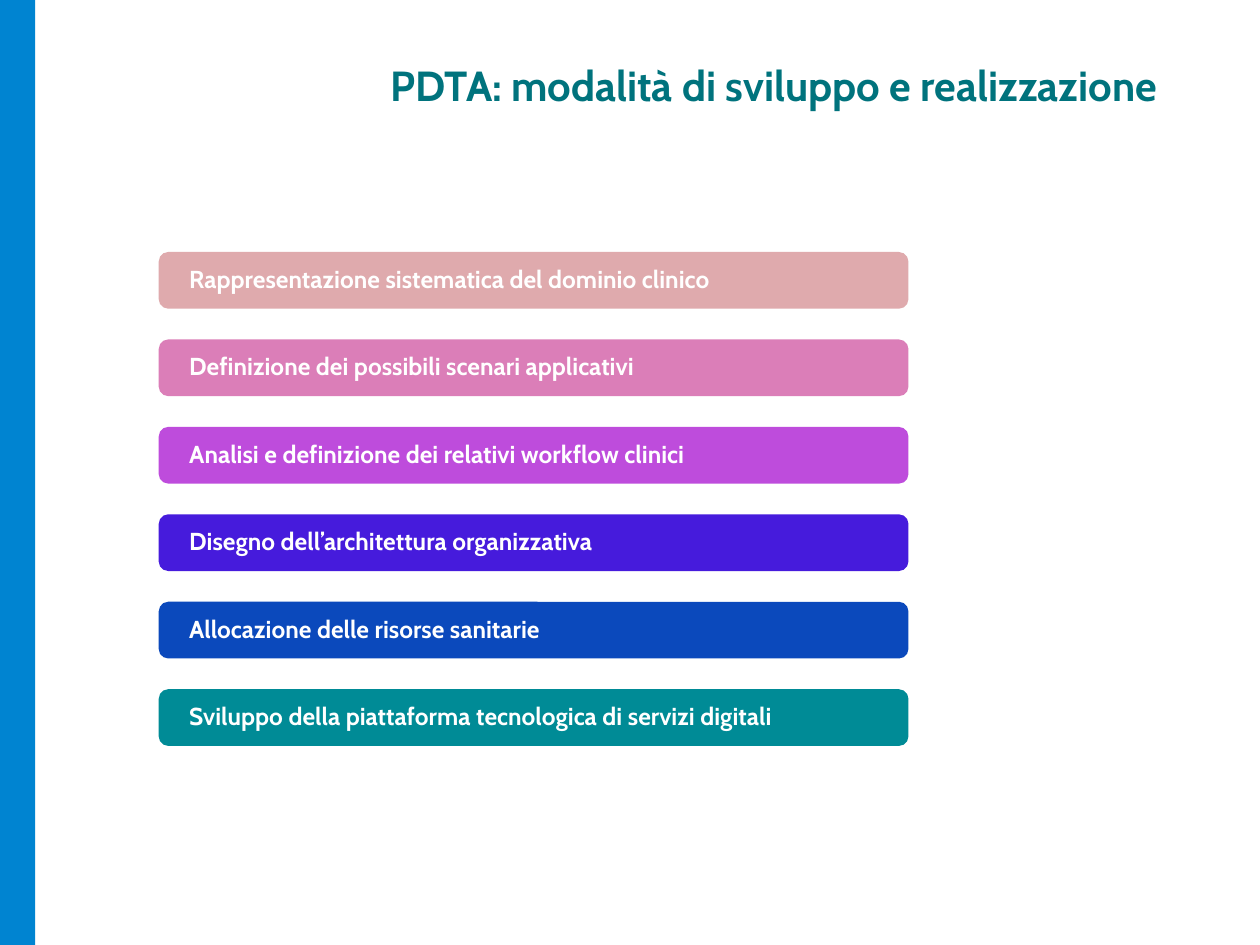
import pptx
import pptx.util
import pptx.dml.color
import pptx.enum.shapes
import pptx.enum.text

RGB = pptx.dml.color.RGBColor
KIND = pptx.enum.shapes.MSO_SHAPE
BLUE = RGB(0x00, 0x84, 0xD1)
TEAL = RGB(0x00, 0x73, 0x7D)
WHITE = RGB(0xFF, 0xFF, 0xFF)
STEPS = [
    ("Rappresentazione sistematica del dominio clinico", RGB(0xDF, 0xAA, 0xAD)),
    ("Definizione dei possibili scenari applicativi", RGB(0xDB, 0x7E, 0xB8)),
    ("Analisi e definizione dei relativi workflow clinici", RGB(0xBE, 0x4C, 0xDC)),
    ("Disegno dell’architettura organizzativa", RGB(0x46, 0x1B, 0xDC)),
    ("Allocazione delle risorse sanitarie", RGB(0x0B, 0x49, 0xBC)),
    ("Sviluppo della piattaforma tecnologica di servizi digitali", RGB(0x00, 0x8B, 0x96)),
]


class Deck:
    """Draws styled elements on a grid of 100 columns by 75 rows."""

    face = "Cabin"
    cell = pptx.util.Inches(0.1)

    def __init__(self):
        self.file = pptx.Presentation()
        self.file.slide_width = 100 * self.cell
        self.file.slide_height = 75 * self.cell
        self.slide = self.file.slides.add_slide(self.file.slide_layouts[6])

    def area(self, *units):
        return [round(unit * self.cell) for unit in units]

    def label(self, frame, text, size, color):
        frame.word_wrap = True
        line = frame.paragraphs[0]
        line.text = text
        line.alignment = pptx.enum.text.PP_ALIGN.LEFT
        font = line.font
        font.name, font.size, font.bold = self.face, pptx.util.Pt(size), True
        font.color.rgb = color
        return line

    def block(self, kind, col, row, wide, high, fill):
        shape = self.slide.shapes.add_shape(kind, *self.area(col, row, wide, high))
        shape.shadow.inherit = False
        shape.fill.solid()
        shape.fill.fore_color.rgb = fill
        shape.line.fill.background()
        return shape

    def title(self, col, row, wide, high, text):
        box = self.slide.shapes.add_textbox(*self.area(col, row, wide, high))
        self.label(box.text_frame, text, 24, TEAL)

    def step(self, col, row, wide, high, text, fill):
        shape = self.block(KIND.ROUNDED_RECTANGLE, col, row, wide, high, fill)
        frame = shape.text_frame
        frame.margin_left, frame.margin_right = self.area(2.2, 2.2)
        frame.margin_top = frame.margin_bottom = 0
        frame.vertical_anchor = pptx.enum.text.MSO_ANCHOR.MIDDLE
        self.label(frame, text, 14, WHITE).line_spacing = 0.9


def main():
    deck = Deck()
    deck.block(KIND.RECTANGLE, 0, 0, 2.8, 75, BLUE)
    deck.title(30, 4.2, 68.3, 5.8, "PDTA: modalità di sviluppo e realizzazione")
    for index, (text, fill) in enumerate(STEPS):
        deck.step(12.6, 20 + 6.94 * index, 59.5, 4.5, text, fill)
    deck.file.save("out.pptx")


if __name__ == "__main__":
    main()
